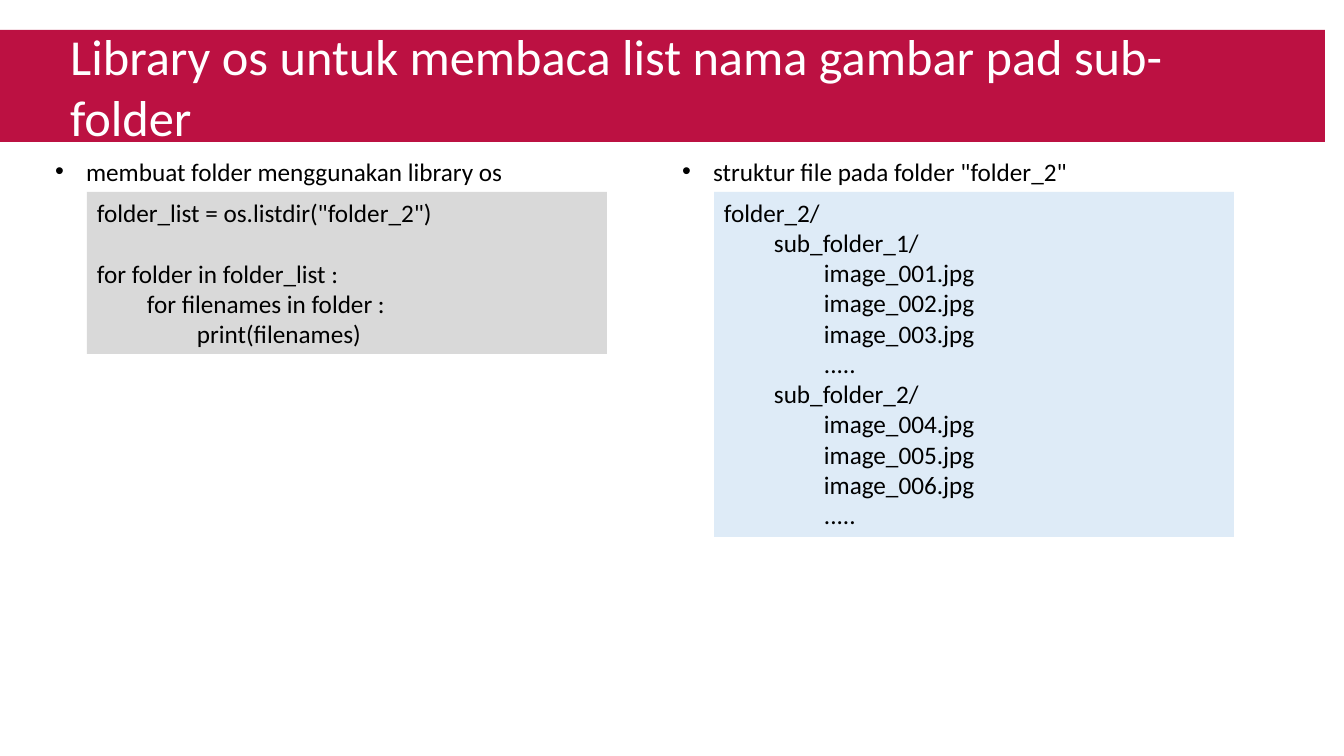
"""Build the slide on listing image names in sub-folders with the os library."""
from pptx import Presentation
from pptx.dml.color import RGBColor
from pptx.enum.shapes import MSO_SHAPE
from pptx.enum.text import MSO_ANCHOR, MSO_AUTO_SIZE, PP_ALIGN
from pptx.util import Pt

RECTANGLE = MSO_SHAPE.RECTANGLE
TOP, MIDDLE = MSO_ANCHOR.TOP, MSO_ANCHOR.MIDDLE
LEFT = PP_ALIGN.LEFT
NO_AUTOFIT = MSO_AUTO_SIZE.NONE

CRIMSON = RGBColor(0xBC, 0x11, 0x42)
GREY = RGBColor(0xD9, 0xD9, 0xD9)
PALE_BLUE = RGBColor(0xDE, 0xEB, 0xF7)
WHITE = RGBColor(0xFF, 0xFF, 0xFF)
BLACK = RGBColor(0x00, 0x00, 0x00)

TITLE = "Library os untuk membaca list nama gambar pad sub-folder"
COLUMNS = [
    {
        "heading": "membuat folder menggunakan library os",
        "heading_box": (45, 151, 951, 40),
        "panel_box": (87, 192, 520, 162),
        "fill": GREY,
        "lines": [
            (0, 'folder_list = os.listdir("folder_2")', 0),
            (0, "for folder in folder_list :", 22),
            (1, "for filenames in folder :", 0),
            (2, "print(filenames)", 0),
        ],
    },
    {
        "heading": 'struktur file pada folder "folder_2"',
        "heading_box": (672, 151, 652, 40),
        "panel_box": (714, 192, 520, 345),
        "fill": PALE_BLUE,
        "lines": [
            (0, "folder_2/", 0),
            (1, "sub_folder_1/", 0),
            (2, "image_001.jpg", 0),
            (2, "image_002.jpg", 0),
            (2, "image_003.jpg", 0),
            (2, ".....", 0),
            (1, "sub_folder_2/", 0),
            (2, "image_004.jpg", 0),
            (2, "image_005.jpg", 0),
            (2, "image_006.jpg", 0),
            (2, ".....", 0),
        ],
    },
]

SLIDE_SIZE = (1344, 756)
BAND_BOX = (0, 30, 1325, 112)
TITLE_BOX = (60, 50, 1234, 72)
BULLET_INDENT = 31
LEVEL_INDENT = 50
TWO_CONTENT = 3

TITLE_FONT = {"name": "Calibri", "size": Pt(36)}
BODY_FONT = {"name": "Calibri", "size": Pt(18)}
TITLE_FRAME = {"auto_size": NO_AUTOFIT, "word_wrap": False, "vertical_anchor": MIDDLE}
BODY_FRAME = {"auto_size": NO_AUTOFIT, "word_wrap": True, "vertical_anchor": TOP}


def px(length):
    return round(length * 914400 / 100.8)


def apply(target, values):
    for attribute, value in values.items():
        setattr(target, attribute, value)


def place(shape, box):
    apply(shape, dict(zip(("left", "top", "width", "height"), map(px, box))))


def write(paragraph, text, font, color, level=0, gap=0, margin=0, indent=0):
    paragraph.text = text
    apply(paragraph, {"alignment": LEFT, "level": level, "space_before": Pt(gap)})
    apply(paragraph.font, font)
    paragraph.font.color.rgb = color
    properties = paragraph._p.get_or_add_pPr()
    properties.set("marL", str(px(margin)))
    properties.set("indent", str(px(indent)))


def add_block(slide, box, fill):
    block = slide.shapes.add_shape(RECTANGLE, *map(px, box))
    block.shadow.inherit = False
    block.fill.solid()
    block.fill.fore_color.rgb = fill
    block.line.fill.background()
    return block


def add_title(slide):
    band = add_block(slide, BAND_BOX, CRIMSON)
    slide.shapes._spTree.insert(2, band._element)
    title = slide.shapes.title
    place(title, TITLE_BOX)
    apply(title.text_frame, TITLE_FRAME)
    write(title.text_frame.paragraphs[0], TITLE, TITLE_FONT, WHITE)


def add_column(slide, heading, column):
    place(heading, column["heading_box"])
    apply(heading.text_frame, BODY_FRAME)
    write(heading.text_frame.paragraphs[0], column["heading"], BODY_FONT, BLACK,
          margin=BULLET_INDENT, indent=-BULLET_INDENT)

    frame = add_block(slide, column["panel_box"], column["fill"]).text_frame
    apply(frame, BODY_FRAME)
    for number, (level, text, gap) in enumerate(column["lines"]):
        paragraph = frame.add_paragraph() if number else frame.paragraphs[0]
        write(paragraph, text, BODY_FONT, BLACK, level, gap, level * LEVEL_INDENT)


def main():
    deck = Presentation()
    deck.slide_width, deck.slide_height = map(px, SLIDE_SIZE)
    slide = deck.slides.add_slide(deck.slide_layouts[TWO_CONTENT])
    add_title(slide)
    for number, column in enumerate(COLUMNS, start=1):
        add_column(slide, slide.placeholders[number], column)
    deck.save("out.pptx")


if __name__ == "__main__":
    main()
